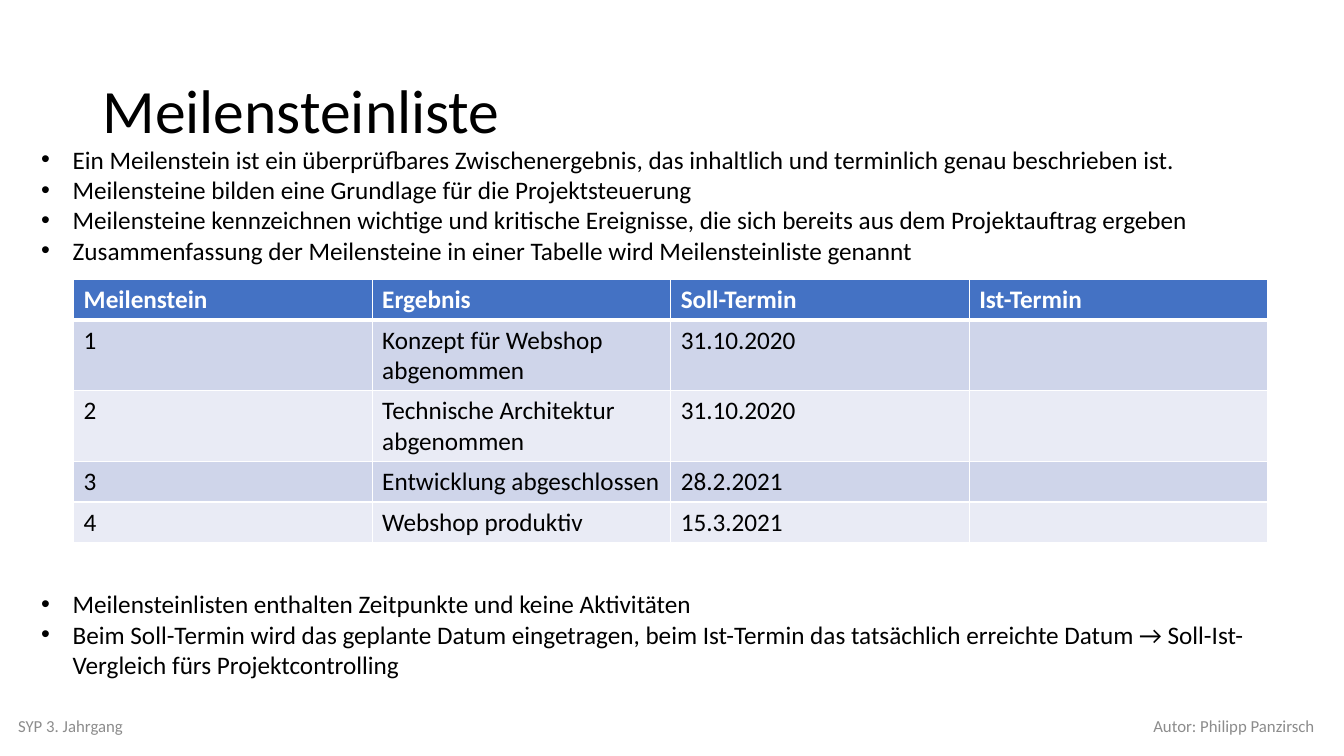
import lxml.etree
import pptx
import pptx.dml.color
import pptx.enum.text
import pptx.oxml.ns
import pptx.util

Pt = pptx.util.Pt
ALIGN = pptx.enum.text.PP_ALIGN
ANCHOR = pptx.enum.text.MSO_ANCHOR
qn = pptx.oxml.ns.qn


def color(value):
    return pptx.dml.color.RGBColor.from_string(value)


class SlideBuilder:
    font = "Calibri"
    black, white, gray = "000000", "FFFFFF", "8C8C8C"
    header_fill, band_fills = "4472C4", ("CFD5EA", "E9EBF5")

    def __init__(self, page):
        self.page = page

    def add_text(self, para, text, tint, **formats):
        span = para.add_run()
        span.text = text
        span.font.color.rgb = color(tint)
        for name, value in {"name": self.font, "size": Pt(18), **formats}.items():
            setattr(span.font, name, value)

    def title(self, text, left, top, width, height):
        box = self.page.shapes.title
        place = {"left": left, "top": top, "width": width, "height": height}
        for name, value in place.items():
            setattr(box, name, Pt(value))
        box.text_frame.vertical_anchor = ANCHOR.MIDDLE
        para = box.text_frame.paragraphs[0]
        para.alignment = ALIGN.LEFT
        para.line_spacing = 0.9
        self.add_text(para, text, self.black, size=Pt(44))

    def text_box(self, left, top, width, height, anchor):
        box = self.page.shapes.add_textbox(Pt(left), Pt(top), Pt(width), Pt(height))
        box.text_frame.word_wrap = True
        box.text_frame.vertical_anchor = anchor
        return box.text_frame

    def footer(self, text, left, alignment):
        para = self.text_box(left, 504, 324, 28.8, ANCHOR.MIDDLE).paragraphs[0]
        para.alignment = alignment
        self.add_text(para, text, self.gray, size=Pt(12))

    def bullets(self, lines, top, height):
        frame = self.text_box(22.3, top, 913.7, height, ANCHOR.TOP)
        frame.auto_size = pptx.enum.text.MSO_AUTO_SIZE.SHAPE_TO_FIT_TEXT
        for index, line in enumerate(lines):
            para = frame.add_paragraph() if index else frame.paragraphs[0]
            properties = para._p.get_or_add_pPr()
            properties.set("marL", str(Pt(22.5)))
            properties.set("indent", str(-Pt(22.5)))
            lxml.etree.SubElement(properties, qn("a:buFont"), typeface="Arial")
            lxml.etree.SubElement(properties, qn("a:buChar"), char="•")
            self.add_text(para, line, self.black)

    def border(self, cell, side, weight):
        properties = cell._tc.get_or_add_tcPr()
        line = lxml.etree.SubElement(properties, qn("a:ln" + side), w=str(Pt(weight)))
        fill = lxml.etree.SubElement(line, qn("a:solidFill"))
        lxml.etree.SubElement(fill, qn("a:srgbClr"), val=self.white)

    def table(self, rows, heights, left, top, width):
        frame = self.page.shapes.add_table(
            len(rows), len(rows[0]), Pt(left), Pt(top), Pt(width), Pt(sum(heights)))
        grid = frame.table
        for column in grid.columns:
            column.width = Pt(width / len(rows[0]))
        for index, (values, height) in enumerate(zip(rows, heights)):
            grid.rows[index].height = Pt(height)
            header = index == 0
            fill = self.header_fill if header else self.band_fills[(index - 1) % 2]
            tint = self.white if header else self.black
            for cell, value in zip(grid.rows[index].cells, values):
                # Borders go before the fill in the cell properties
                for side in "LRTB":
                    thick = (header and side == "B") or (index == 1 and side == "T")
                    self.border(cell, side, 3 if thick else 1)
                cell.fill.solid()
                cell.fill.fore_color.rgb = color(fill)
                if value:
                    self.add_text(cell.text_frame.paragraphs[0], value, tint, bold=header)


deck = pptx.Presentation()
deck.slide_width, deck.slide_height = Pt(960), Pt(540)
slide = SlideBuilder(deck.slides.add_slide(deck.slide_layouts[5]))

# Title and footers
slide.title("Meilensteinliste", 66, 28.75, 828, 104.4)
slide.footer("SYP 3. Jahrgang", 5.8, ALIGN.LEFT)
slide.footer("Autor: Philipp Panzirsch", 622.1, ALIGN.RIGHT)

# Definition of milestones
slide.bullets([
    "Ein Meilenstein ist ein überprüfbares Zwischenergebnis, "
    "das inhaltlich und terminlich genau beschrieben ist.",
    "Meilensteine bilden eine Grundlage für die Projektsteuerung",
    "Meilensteine kennzeichnen wichtige und kritische Ereignisse, "
    "die sich bereits aus dem Projektauftrag ergeben",
    "Zusammenfassung der Meilensteine in einer Tabelle wird Meilensteinliste genannt",
], 99.4, 94.3)

# Milestone table
one_line, two_lines = 29.2, 50.4
slide.table([
    ("Meilenstein", "Ergebnis", "Soll-Termin", "Ist-Termin"),
    ("1", "Konzept für Webshop abgenommen", "31.10.2020", ""),
    ("2", "Technische Architektur abgenommen", "31.10.2020", ""),
    ("3", "Entwicklung abgeschlossen", "28.2.2021", ""),
    ("4", "Webshop produktiv", "15.3.2021", ""),
], [one_line, two_lines, two_lines, one_line, one_line], 52.6, 199.4, 853)

# Notes on using the list
slide.bullets([
    "Meilensteinlisten enthalten Zeitpunkte und keine Aktivitäten",
    "Beim Soll-Termin wird das geplante Datum eingetragen, beim Ist-Termin "
    "das tatsächlich erreichte Datum → Soll-Ist-Vergleich fürs Projektcontrolling",
], 416.9, 72.7)

deck.save("out.pptx")
